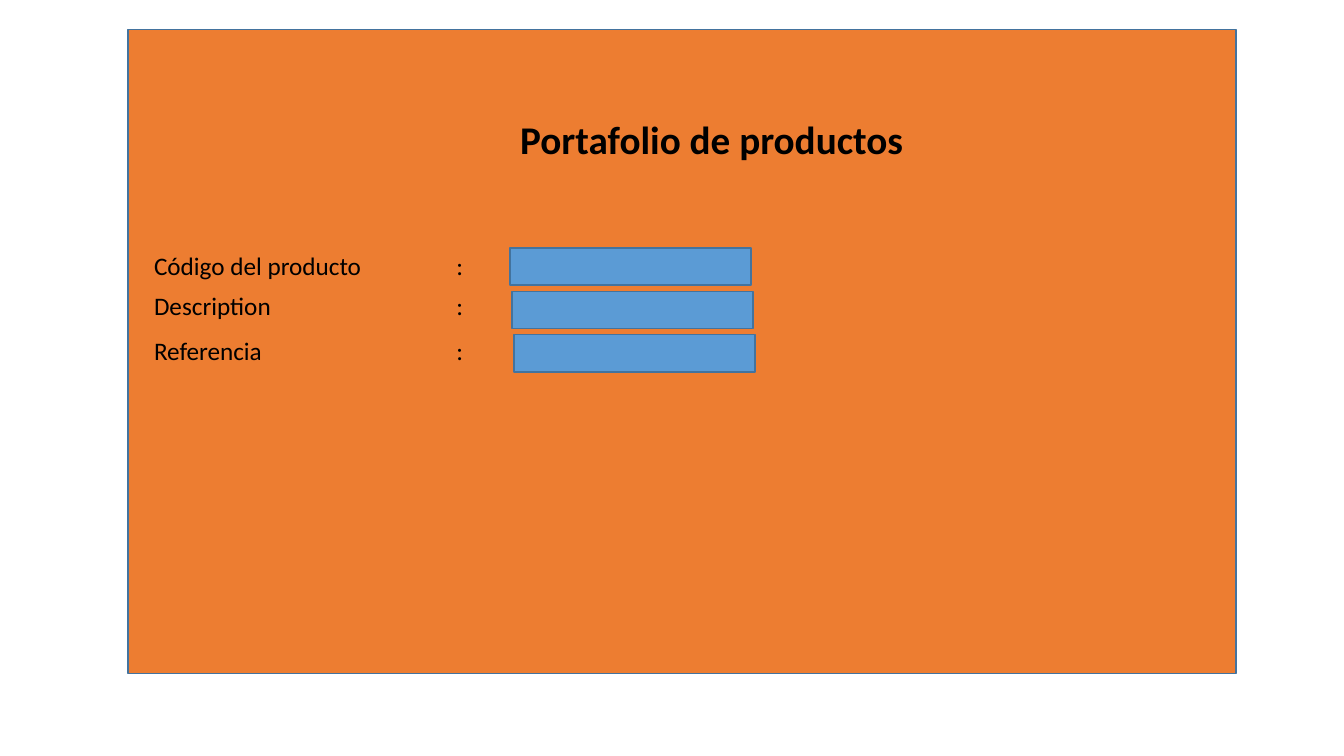
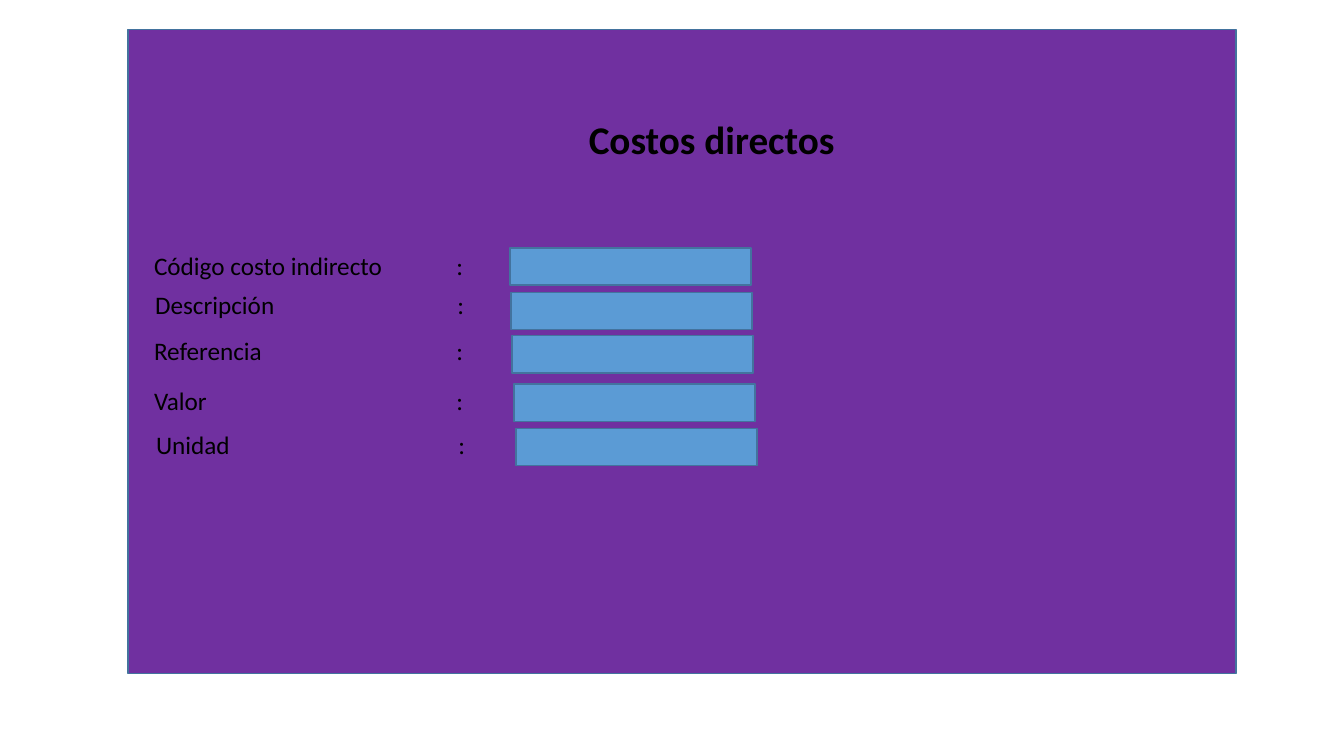
"""Build two form slides, each a coloured panel with a title and labelled fields."""
import lxml.etree
import pptx
import pptx.dml.color
import pptx.enum.shapes
import pptx.enum.text
import pptx.oxml.ns
import pptx.util

RGB = pptx.dml.color.RGBColor
ORANGE = RGB(0xED, 0x7D, 0x31)
PURPLE = RGB(0x70, 0x30, 0xA0)
BLUE = RGB(0x5B, 0x9B, 0xD5)
EDGE = RGB(0x43, 0x73, 0x9E)
BLACK = RGB(0, 0, 0)
FONT = "Calibri"

CELL = pptx.util.Inches(0.1)
COLS, ROWS = 133.33, 75
PANEL = (12.7, 2.9, 109.9, 63.9)
TITLE = (43.8, 10.9, 53.6, 5.7)
LABEL = (36.3, 4)
BOX = (23.9, 3.7)
COLON = 30

FORMS = [
    (ORANGE, "Portafolio de productos", [
        ("Código del producto", (14.3, 24.3), (50.6, 24.6)),
        ("Description", (14.3, 28.3), (50.8, 28.9)),
        ("Referencia", (14.3, 32.8), (51, 33.2)),
    ]),
    (PURPLE, "Costos directos", [
        ("Código costo indirecto", (14.3, 24.3), (50.6, 24.6)),
        ("Descripción", (14.4, 28.2), (50.7, 29)),
        ("Referencia", (14.3, 32.8), (50.8, 33.3)),
        ("Valor", (14.3, 37.7), (51, 38.1)),
        ("Unidad", (14.5, 42.1), (51.2, 42.5)),
    ]),
]


def grid(*cells):
    return [round(cell * CELL) for cell in cells]


def add_rect(slide, area, color):
    kind = pptx.enum.shapes.MSO_SHAPE.RECTANGLE
    rect = slide.shapes.add_shape(kind, *grid(*area))
    rect.shadow.inherit = False
    rect.fill.solid()
    rect.fill.fore_color.rgb = color
    rect.line.color.rgb = EDGE
    rect.line.width = pptx.util.Pt(1)


def add_text(slide, area, text, size, bold=False):
    frame = slide.shapes.add_textbox(*grid(*area)).text_frame
    frame.word_wrap = True
    frame.auto_size = pptx.enum.text.MSO_AUTO_SIZE.SHAPE_TO_FIT_TEXT
    para = frame.paragraphs[0]
    para.text = text
    para.font.name = FONT
    para.font.size = pptx.util.Pt(size)
    para.font.bold = bold
    para.font.color.rgb = BLACK
    return para


def set_tab(para, stop):
    qn = pptx.oxml.ns.qn
    tabs = lxml.etree.Element(qn("a:tabLst"))
    lxml.etree.SubElement(tabs, qn("a:tab"), pos=str(grid(stop)[0]), algn="l")
    para._p.get_or_add_pPr().insert(0, tabs)


def add_field(slide, name, label, box):
    para = add_text(slide, label + LABEL, f"{name}\t:", 18)
    set_tab(para, COLON)
    add_rect(slide, box + BOX, BLUE)


def add_form(deck, color, title, fields):
    slide = deck.slides.add_slide(deck.slide_layouts[6])
    add_rect(slide, PANEL, color)
    head = add_text(slide, TITLE, title, 28, bold=True)
    head.alignment = pptx.enum.text.PP_ALIGN.CENTER
    for field in fields:
        add_field(slide, *field)


def main():
    deck = pptx.Presentation()
    deck.slide_width, deck.slide_height = grid(COLS, ROWS)
    for form in FORMS:
        add_form(deck, *form)
    deck.save("out.pptx")


main()
